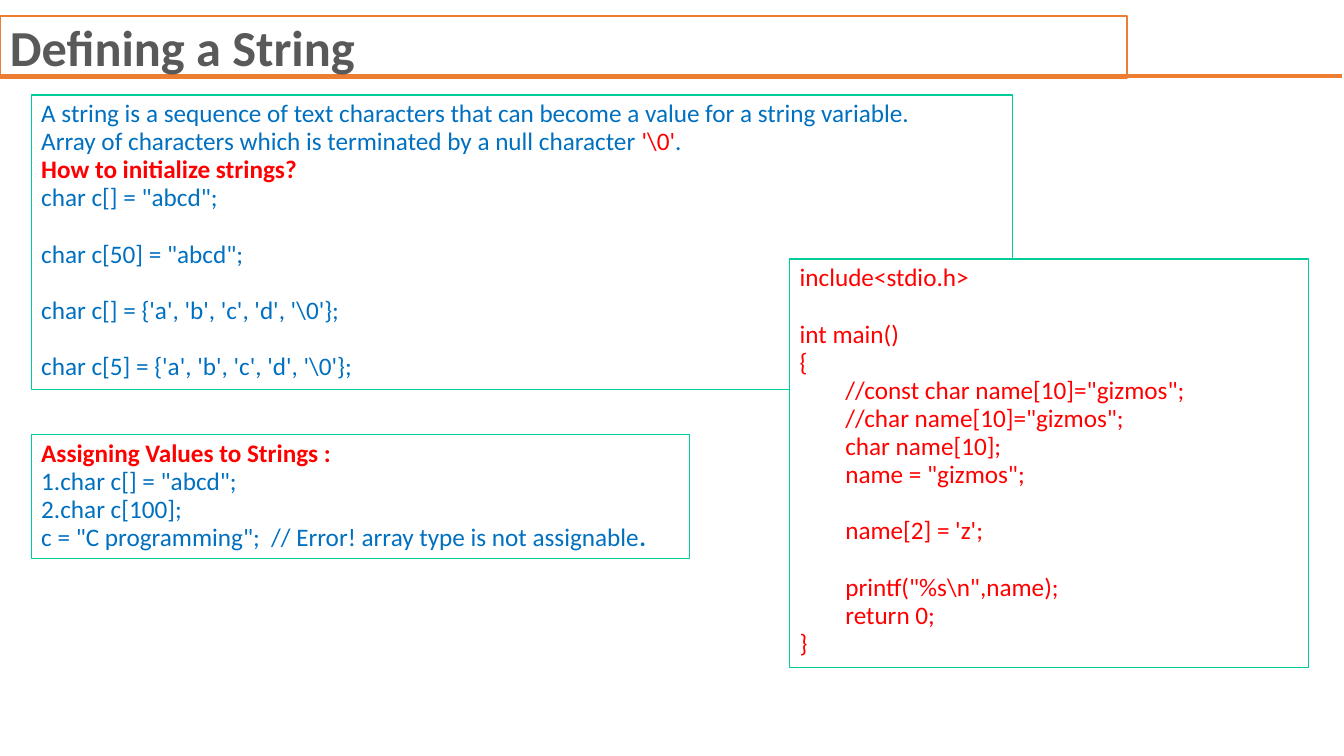
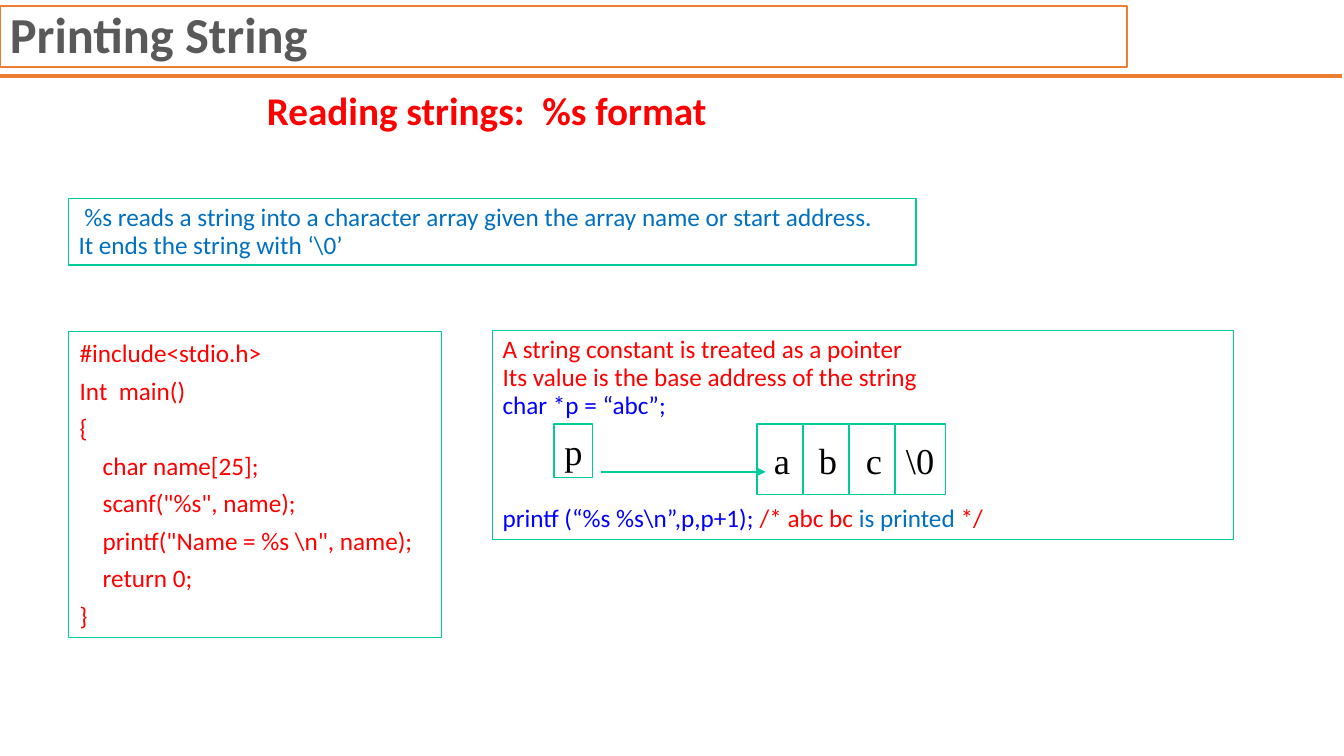
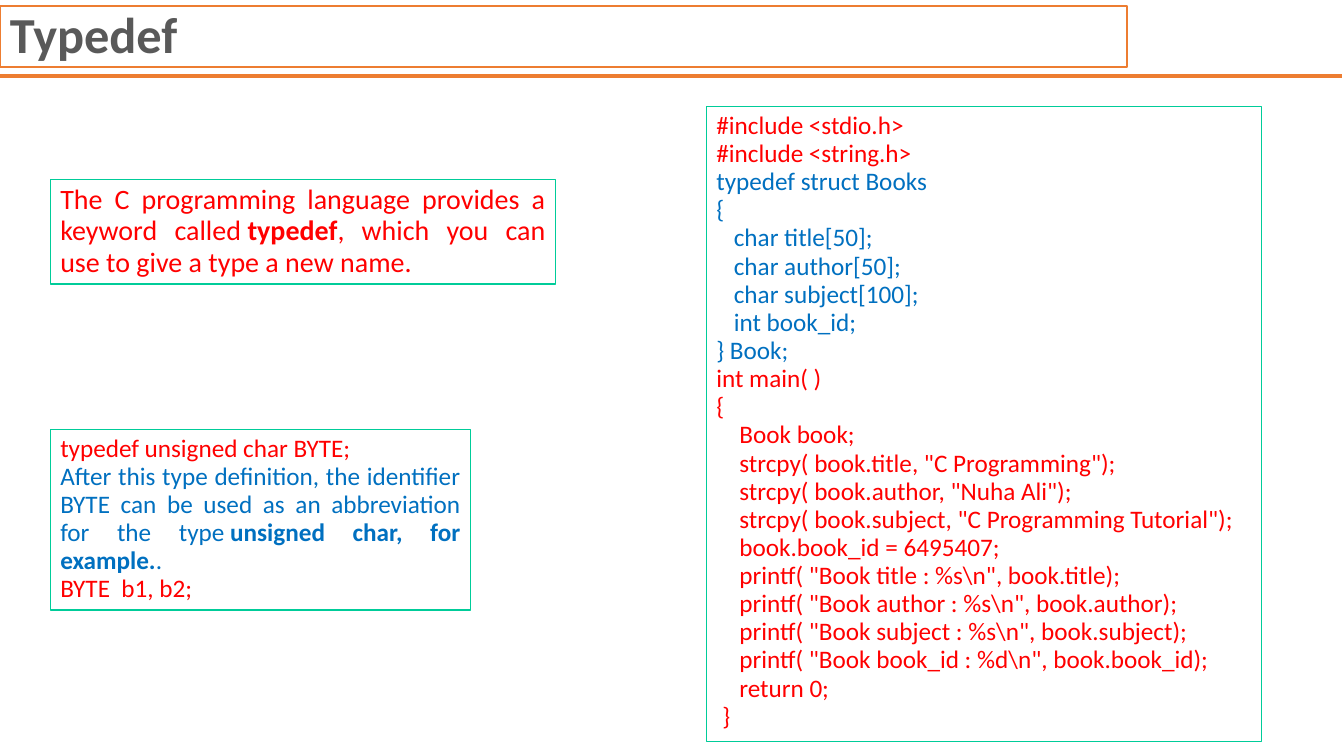
"""Build three slides on C strings and typedef."""
import pptx
import pptx.dml.color
import pptx.enum.shapes
import pptx.enum.text
import pptx.oxml
import pptx.oxml.ns
import pptx.util

COLOURS = {
    "orange": "ED7D31", "green": "00CC99", "white": "FFFFFF", "grey": "595959",
    "blue": "0070C0", "red": "FF0000", "pure blue": "0000FF", "black": "000000",
}
STYLES = {
    "title": {"colour": "grey", "size": 36, "bold": True},
    "heading": {"colour": "red", "size": 28, "bold": True},
    "statement": {"colour": "red", "size": 20},
    "statement bold": {"colour": "red", "size": 20, "bold": True},
    "red": {"colour": "red"},
    "red bold": {"colour": "red", "bold": True},
    "blue": {"colour": "blue"},
    "blue bold": {"colour": "blue", "bold": True},
    "pure blue": {"colour": "pure blue"},
    "cell": {"colour": "black", "size": 26, "name": "Times New Roman"},
}

# Each group of lines is (style, indent in cm, blank lines before, lines).
DEFINITION = [
    ("blue", 0, 0, [
        "A string is a sequence of text characters that can become a value for a string variable.",
        [("Array of characters which is terminated by a null character ", "blue"),
         ("'\\0'", "red"), (".", "blue")],
    ]),
    ("red bold", 0, 0, ["How to initialize strings?"]),
    ("blue", 0, 0, ['char c[] = "abcd";']),
    ("blue", 0, 1, ['char c[50] = "abcd";']),
    ("blue", 0, 1, ["char c[] = {'a', 'b', 'c', 'd', '\\0'};"]),
    ("blue", 0, 1, ["char c[5] = {'a', 'b', 'c', 'd', '\\0'};"]),
]
ASSIGNMENT = [
    ("red bold", 0, 0, ["Assigning Values to Strings :"]),
    ("blue", 0, 0, [
        '1.char c[] = "abcd";',
        "2.char c[100];",
        [('c = "C programming";\u00a0 // Error! array type is not assignable', "blue"),
         (".", "blue bold")],
    ]),
]
NAME_PROGRAM = [
    ("red", 0, 0, ["include<stdio.h>"]),
    ("red", 0, 1, ["int main()", "{"]),
    ("red", 1.15, 0, ['//const char name[10]="gizmos";', '//char name[10]="gizmos";',
                      "char name[10];", 'name = "gizmos";']),
    ("red", 1.15, 1, ["name[2] = 'z';"]),
    ("red", 1.15, 1, ['printf("%s\\n",name);', "return 0;"]),
    ("red", 0, 0, ["}"]),
]
READING_HEADING = [("heading", 0, 0, ["Reading strings:\u00a0 %s format"])]
READING_PROGRAM = [
    ("red", 0, 0, ["#include<stdio.h>", "Int\u00a0 main()", "{"]),
    ("red", 0.58, 0, ["char name[25];", 'scanf("%s", name);',
                      'printf("Name = %s \\n", name);', "return 0;"]),
    ("red", 0, 0, ["}"]),
]
READING_RULE = [
    ("blue", 0.15, 0, ["%s reads a string into a character array given the array name or start address."]),
    ("blue", 0, 0, ["It ends the string with ‘\\0’"]),
]
CONSTANT = [
    ("red", 0, 0, ["A string constant is treated as a pointer",
                   "Its value is the base address of the string"]),
    ("pure blue", 0, 0, ["char *p = “abc”;"]),
    ("pure blue", 0, 3, [
        [("printf (“%s %s\\n”,p,p+1); ", "pure blue"), ("/* abc bc ", "red"),
         ("is printed", "blue"), (" */", "red")],
    ]),
]
TYPEDEF_STATEMENT = [
    ("statement", 0, 0, [
        [("The C programming language provides a keyword called\u00a0", "statement"),
         ("typedef", "statement bold"),
         (", which you can use to give a type a new name.", "statement")],
    ]),
]
BYTE_EXAMPLE = [
    ("red", 0, 0, ["typedef unsigned char BYTE;"]),
    ("blue", 0, 0, [
        [("After this type definition, the identifier BYTE can be used as an "
          "abbreviation for the type\u00a0", "blue"),
         ("unsigned char, for example.", "blue bold"), (".", "blue")],
    ]),
    ("red", 0, 0, ["BYTE\u00a0 b1, b2;"]),
]
BOOK_PROGRAM = [
    ("red", 0, 0, ["#include <stdio.h>", "#include <string.h>"]),
    ("blue", 0, 0, ["typedef struct Books", "{"]),
    ("blue", 0.44, 0, ["char title[50];", "char author[50];", "char subject[100];", "int book_id;"]),
    ("blue", 0, 0, ["} Book;"]),
    ("red", 0, 0, ["int main( )", "{"]),
    ("red", 0.58, 0, [
        "Book book;",
        'strcpy( book.title, "C Programming");',
        'strcpy( book.author, "Nuha Ali");',
        'strcpy( book.subject, "C Programming Tutorial");',
        "book.book_id = 6495407;",
        'printf( "Book title : %s\\n", book.title);',
        'printf( "Book author : %s\\n", book.author);',
        'printf( "Book subject : %s\\n", book.subject);',
        'printf( "Book book_id : %d\\n", book.book_id);',
        "return 0;",
    ]),
    ("red", 0.15, 0, ["}"]),
]

JUSTIFIED = {"align": "JUSTIFY"}
SPACED = {"line_spacing": 1.0, "before": 5.2, "margins": (0.28, 0.15)}
UNFRAMED = {"fill": None, "line": None}
SLIDES = [
    {"title": "Defining a String", "top": 0.41, "anchor": "TOP", "boxes": [
        ((0.79, 2.39, 24.74, 7.42), DEFINITION, JUSTIFIED),
        ((0.79, 10.95, 16.59, 3.12), ASSIGNMENT, {}),
        ((19.91, 6.53, 13.08, 10.29), NAME_PROGRAM, JUSTIFIED),
    ]},
    {"title": "Printing String", "top": 0.15, "anchor": "MIDDLE", "boxes": [
        ((6.48, 2.16, 12.4, 1.57), READING_HEADING, UNFRAMED),
        ((1.73, 8.36, 9.4, 7.7), READING_PROGRAM, SPACED),
        ((1.73, 5, 21.36, 1.68), READING_RULE, JUSTIFIED),
        ((12.42, 8.33, 18.67, 5.26), CONSTANT, {}),
    ]},
    {"title": "Typedef", "top": 0.15, "anchor": "MIDDLE", "boxes": [
        ((1.27, 4.52, 12.73, 2.64), TYPEDEF_STATEMENT, JUSTIFIED),
        ((1.27, 10.82, 10.59, 4.55), BYTE_EXAMPLE, JUSTIFIED),
        ((17.81, 2.69, 14, 16), BOOK_PROGRAM, JUSTIFIED),
    ]},
]
SLIDE_SIZE = (33.88, 19.05)
TITLE_SIZE = (28.42, 1.55)
RULE = (0, 1.92, 33.83, 1.92)
BLANK_LINE = 20.1
MEMORY = {
    "cells": ["a", "b", "c", "\\0"], "left": 19.08, "top": 10.69, "step": 1.16,
    "size": (1.27, 1.78), "pointer": (13.97, 10.69, 0.97, 1.35),
    "arrow": (15.14, 11.89, 19.3, 11.89),
}
BOX_FORMAT = {
    "fill": "white", "line": "green", "width": 1, "align": "LEFT", "anchor": "TOP",
    "wrap": True, "line_spacing": 0.93, "before": 0, "margins": (0.25, 0.13),
}
CELL_FORMAT = {"align": "CENTER", "anchor": "MIDDLE", "wrap": False, "line_spacing": 1.0}


def rgb(name):
    """Return a named colour."""
    return pptx.dml.color.RGBColor.from_string(COLOURS[name])


def lengths(values):
    """Turn centimetres into lengths."""
    return [pptx.util.Cm(value) for value in values]


def set_all(target, values):
    """Set every named attribute on the target."""
    for name, value in values.items():
        setattr(target, name, value)


def add_run(paragraph, text, style):
    """Add one styled run."""
    values = {"name": "Calibri", "size": 18, "bold": False} | STYLES[style]
    run = paragraph.add_run()
    run.text = text
    run.font.color.rgb = rgb(values.pop("colour"))
    set_all(run.font, values | {"size": pptx.util.Pt(values["size"])})


def add_box(slide, place, groups, **changes):
    """Add a framed box filled with groups of lines."""
    look = BOX_FORMAT | changes
    shape = slide.shapes.add_shape(pptx.enum.shapes.MSO_SHAPE.RECTANGLE, *lengths(place))
    shape.shadow.inherit = False
    if look["fill"]:
        shape.fill.solid()
        shape.fill.fore_color.rgb = rgb(look["fill"])
    else:
        shape.fill.background()
    if look["line"]:
        shape.line.color.rgb = rgb(look["line"])
        shape.line.width = pptx.util.Pt(look["width"])
    else:
        shape.line.fill.background()
    side, edge = lengths(look["margins"])
    frame = shape.text_frame
    set_all(frame, {
        "word_wrap": look["wrap"],
        "vertical_anchor": getattr(pptx.enum.text.MSO_ANCHOR, look["anchor"]),
        "margin_left": side, "margin_right": side, "margin_top": edge, "margin_bottom": edge,
    })
    lines = [(line, style, indent, 0 if position else gap)
             for style, indent, gap, group in groups
             for position, line in enumerate(group)]
    for number, (line, style, indent, gap) in enumerate(lines):
        paragraph = frame.add_paragraph() if number else frame.paragraphs[0]
        set_all(paragraph, {
            "alignment": getattr(pptx.enum.text.PP_ALIGN, look["align"]),
            "line_spacing": look["line_spacing"],
            "space_before": pptx.util.Pt(look["before"] + gap * BLANK_LINE),
        })
        if indent:
            paragraph._p.get_or_add_pPr().set("marL", str(pptx.util.Cm(indent)))
        for text, run_style in [(line, style)] if isinstance(line, str) else line:
            add_run(paragraph, text, run_style)


def add_line(slide, ends, colour, width, arrow=False):
    """Add a straight line, with an arrowhead on request."""
    connector = slide.shapes.add_connector(
        pptx.enum.shapes.MSO_CONNECTOR.STRAIGHT, *lengths(ends))
    connector.line.color.rgb = rgb(colour)
    connector.line.width = pptx.util.Pt(width)
    if arrow:
        head = pptx.oxml.parse_xml(
            f'<a:tailEnd {pptx.oxml.ns.nsdecls("a")} type="triangle"/>')
        connector.line._get_or_add_ln().append(head)
    connector._element.spPr.append(
        pptx.oxml.parse_xml(f'<a:effectLst {pptx.oxml.ns.nsdecls("a")}/>'))


def add_memory(slide):
    """Draw the pointer and the character cells it points to."""
    for number, text in enumerate(MEMORY["cells"]):
        place = (MEMORY["left"] + number * MEMORY["step"], MEMORY["top"], *MEMORY["size"])
        add_box(slide, place, [("cell", 0, 0, [text])], **CELL_FORMAT)
    add_box(slide, MEMORY["pointer"], [("cell", 0, 0, ["p"])], **CELL_FORMAT)
    add_line(slide, MEMORY["arrow"], "green", 1, arrow=True)


def add_slide(presentation, content):
    """Add a slide with its rule, title and boxes."""
    slide = presentation.slides.add_slide(presentation.slide_layouts[6])
    add_line(slide, RULE, "orange", 3)
    add_box(slide, (0, content["top"], *TITLE_SIZE), [("title", 0, 0, [content["title"]])],
            fill=None, line="orange", width=1.5, anchor=content["anchor"])
    for place, groups, changes in content["boxes"]:
        add_box(slide, place, groups, **changes)
    return slide


presentation = pptx.Presentation()
presentation.slide_width, presentation.slide_height = lengths(SLIDE_SIZE)
slides = [add_slide(presentation, content) for content in SLIDES]
add_memory(slides[1])
presentation.save("out.pptx")
